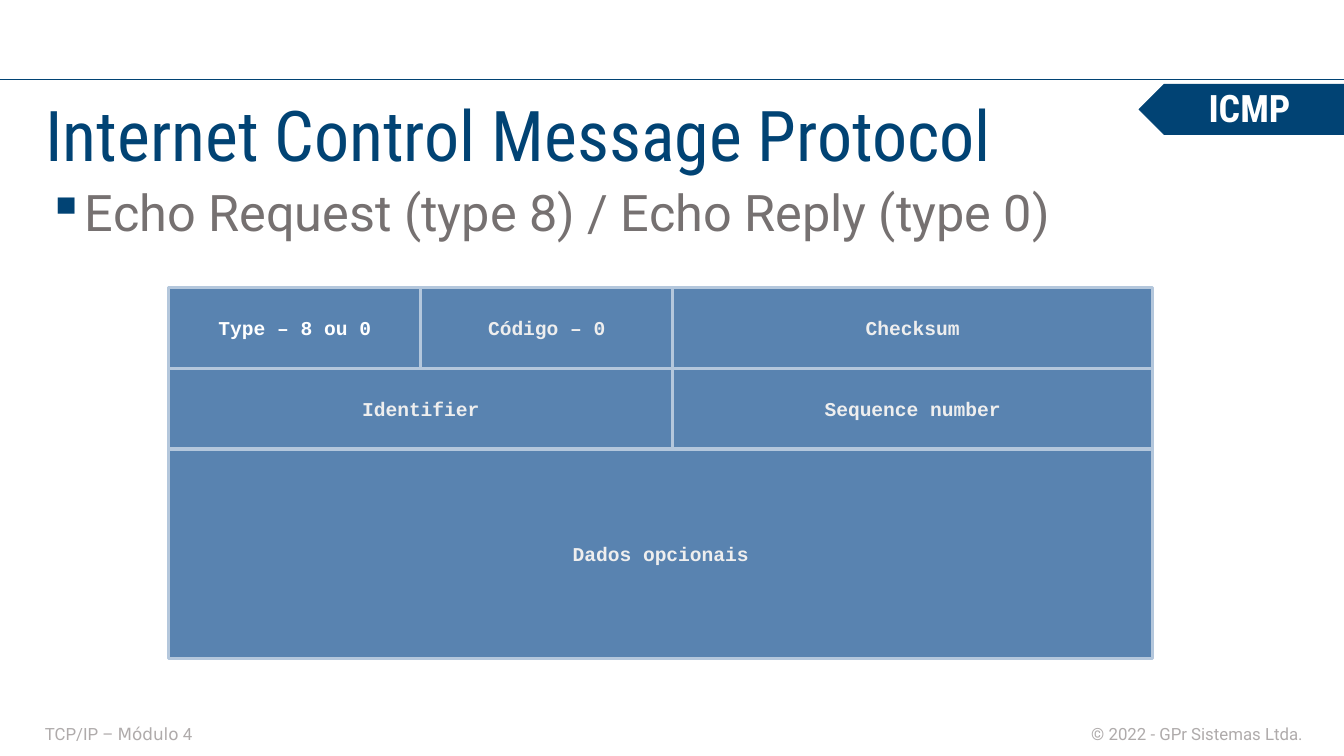
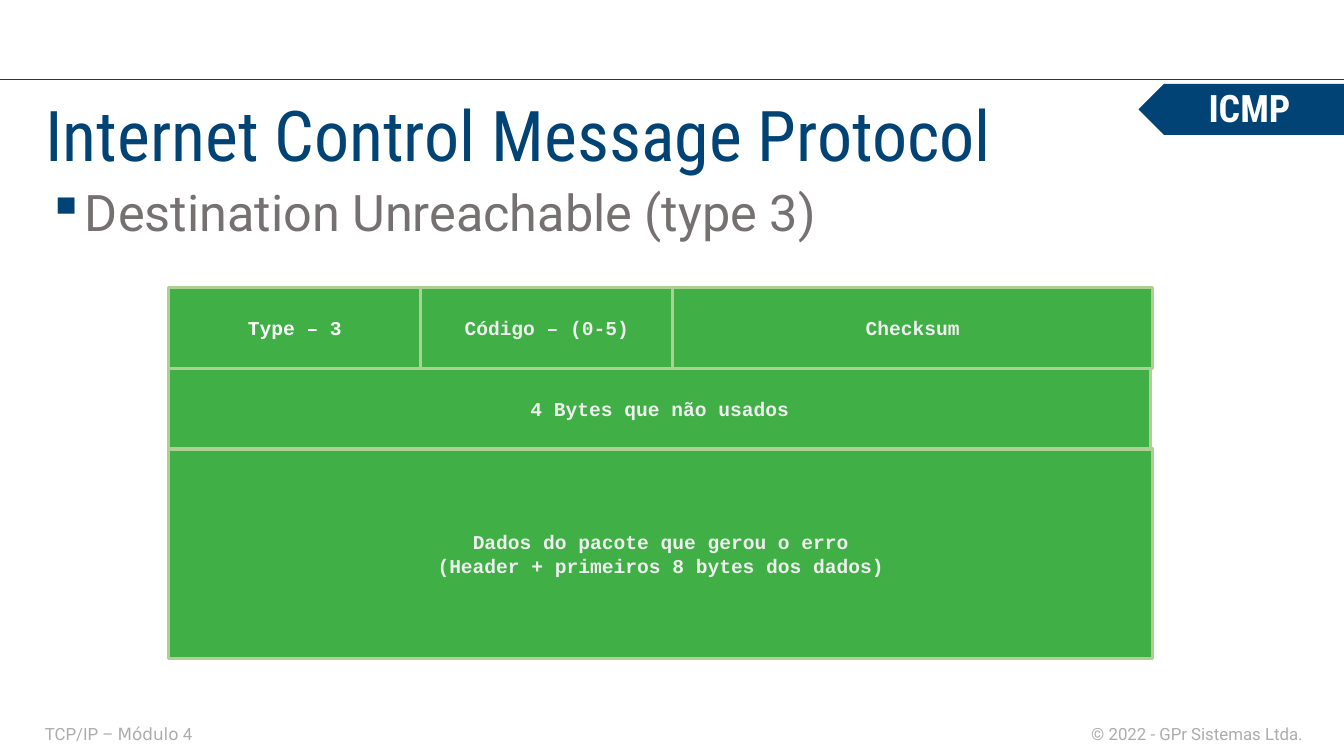
from typing import Any, NamedTuple, Optional, Sequence

import pptx
import pptx.dml.color
import pptx.enum.shapes
import pptx.enum.text
import pptx.oxml
import pptx.oxml.ns
import pptx.util
from pptx.util import Inches

ALIGN = pptx.enum.text.PP_ALIGN
ANCHOR = pptx.enum.text.MSO_ANCHOR
SHAPE = pptx.enum.shapes.MSO_SHAPE

COLORS = {
    "navy": "014374",
    "body": "767171",
    "footer": "AFABAB",
    "white": "FFFFFF",
    "label": "EEEEEE",
    "blue": "5983B0",
    "blue_edge": "B4C7DC",
    "green": "3FAF46",
    "green_edge": "AFD095",
}

# Packet grid, in inches
GRID_LEFT, GRID_TOP = 3.35, 5.71
BYTE_WIDTH, ROW_HEIGHT = 5, 1.6
FULL_WIDTH, DATA_HEIGHT = 19.52, 4.15
HALF_LEFT = 2 * BYTE_WIDTH
HALF_WIDTH = FULL_WIDTH - HALF_LEFT


class Run(NamedTuple):
    text: str
    font: Optional[str] = None


class Field(NamedTuple):
    """A packet field: offset within its row, row number and size."""
    text: str
    left: float
    row: int
    width: float
    height: float = ROW_HEIGHT
    color: str = "label"


class Packet(NamedTuple):
    heading: str
    fill: str
    edge: str
    fields: Sequence[Field]


def header_fields(type_text: str, code_text: str) -> list[Field]:
    return [
        Field(type_text, 0, 0, BYTE_WIDTH, color="white"),
        Field("Checksum", HALF_LEFT, 0, HALF_WIDTH),
        Field(code_text, BYTE_WIDTH, 0, BYTE_WIDTH),
    ]


def data_field(text: str) -> Field:
    return Field(text, 0, 2, FULL_WIDTH, DATA_HEIGHT)


PACKETS = [
    Packet("Echo Request (type 8) / Echo Reply (type 0)", "blue", "blue_edge", [
        *header_fields("Type – 8 ou 0", "Código – 0"),
        data_field("Dados opcionais"),
        Field("Identifier", 0, 1, HALF_LEFT),
        Field("Sequence number", HALF_LEFT, 1, HALF_WIDTH),
    ]),
    Packet("Destination Unreachable (type 3)", "green", "green_edge", [
        *header_fields("Type – 3", "Código – (0-5)"),
        data_field("Dados do pacote que gerou o erro\n"
                   "(Header + primeiros 8 bytes dos dados)"),
        Field("4 Bytes que não usados", 0, 1, 19.48),
    ]),
]


def rgb(name: str) -> pptx.dml.color.RGBColor:
    return pptx.dml.color.RGBColor.from_string(COLORS[name])


def add_bullet(paragraph: Any, color: str, character: str = "▪") -> None:
    properties = paragraph._p.get_or_add_pPr()
    properties.set("marL", str(Inches(0.74)))
    properties.set("indent", str(Inches(-0.94)))
    namespace = pptx.oxml.ns.nsdecls("a")
    for element in (
        f'<a:buClr {namespace}><a:srgbClr val="{COLORS[color]}"/></a:buClr>',
        f'<a:buChar {namespace} char="{character}"/>',
    ):
        properties.append(pptx.oxml.parse_xml(element))


def write_text(shape: Any, text: str | Sequence[Run], *, font: str, size: float,
               color: str, bold: bool = False, align: Any = ALIGN.LEFT,
               anchor: Any = ANCHOR.MIDDLE, inset: tuple[float, float] = (0.06, 0.06),
               line_spacing: Optional[float] = None,
               bullet_color: Optional[str] = None) -> None:
    frame = shape.text_frame
    frame.word_wrap = True
    frame.auto_size = pptx.enum.text.MSO_AUTO_SIZE.NONE
    frame.vertical_anchor = anchor
    frame.margin_left = frame.margin_right = Inches(inset[0])
    frame.margin_top = frame.margin_bottom = Inches(inset[1])
    lines = [[Run(line)] for line in text.split("\n")] if isinstance(text, str) else [text]
    for index, line in enumerate(lines):
        paragraph = frame.add_paragraph() if index else frame.paragraphs[0]
        paragraph.alignment = align
        if line_spacing:
            paragraph.line_spacing = line_spacing
        if bullet_color:
            add_bullet(paragraph, bullet_color)
        for part in line:
            run = paragraph.add_run()
            run.text = part.text
            run.font.name = part.font or font
            run.font.size = pptx.util.Pt(size)
            run.font.bold = bold
            run.font.color.rgb = rgb(color)


def add_text(slide: Any, text: str | Sequence[Run], left: float, top: float,
             width: float, height: float, **text_format: Any) -> None:
    box = slide.shapes.add_textbox(Inches(left), Inches(top), Inches(width), Inches(height))
    write_text(box, text, **text_format)


def add_block(slide: Any, kind: Any, left: float, top: float, width: float,
              height: float, fill: str, edge: str, edge_width: float) -> Any:
    shape = slide.shapes.add_shape(
        kind, Inches(left), Inches(top), Inches(width), Inches(height))
    shape.shadow.inherit = False
    shape.fill.solid()
    shape.fill.fore_color.rgb = rgb(fill)
    shape.line.color.rgb = rgb(edge)
    shape.line.width = pptx.util.Pt(edge_width)
    return shape


def draw_frame(slide: Any) -> None:
    """Draw what every slide shares: rule, footers, title and topic tag."""
    # Top rule
    rule = slide.shapes.add_connector(
        pptx.enum.shapes.MSO_CONNECTOR.STRAIGHT,
        Inches(0), Inches(1.58), Inches(26.67), Inches(1.58))
    rule.line.color.rgb = rgb("navy")
    rule.line.width = pptx.util.Pt(2)
    rule._element.spPr.append(
        pptx.oxml.parse_xml(f'<a:effectLst {pptx.oxml.ns.nsdecls("a")}/>'))

    # Footers
    footer = {"font": "Roboto", "size": 24, "color": "footer"}
    add_text(slide, "© 2022 - GPr Sistemas Ltda.", 20.58, 14.29, 5.33, 0.52,
             align=ALIGN.RIGHT, **footer)
    add_text(slide, [Run("TCP/IP – "), Run("Módulo", "DejaVu Sans"), Run(" 4")],
             0.83, 14.29, 19.08, 0.52, **footer)

    # Title
    title = slide.shapes.title
    title.left, title.top = Inches(0.84), Inches(1.75)
    title.width, title.height = Inches(25.01), Inches(1.8)
    write_text(title, "Internet Control Message Protocol", font="Roboto Condensed",
               size=100, color="navy", anchor=ANCHOR.TOP)

    # Topic tag
    tag = add_block(slide, SHAPE.PENTAGON, 22.6, 1.67, 4.15, 1, "navy", "navy", 1)
    tag.rotation = 180
    add_text(slide, "ICMP", 23.28, 1.63, 3.03, 1.02, font="Roboto Condensed",
             size=54, color="white", bold=True, align=ALIGN.CENTER)


def draw_packet(slide: Any, packet: Packet) -> None:
    add_text(slide, packet.heading, 0.84, 3.3, 25.01, 11, font="Roboto", size=72,
             color="body", anchor=ANCHOR.TOP, inset=(0.1, 0.05),
             line_spacing=1.2, bullet_color="navy")
    for field in packet.fields:
        block = add_block(
            slide, SHAPE.RECTANGLE, GRID_LEFT + field.left,
            GRID_TOP + field.row * ROW_HEIGHT, field.width, field.height,
            packet.fill, packet.edge, 4.5)
        write_text(block, field.text, font="Courier New", size=28, color=field.color,
                   bold=True, align=ALIGN.CENTER, inset=(0.12, 0.07))


def main() -> None:
    presentation = pptx.Presentation()
    presentation.slide_width = Inches(26.67)
    presentation.slide_height = Inches(15)
    title_only = presentation.slide_layouts[5]
    for packet in PACKETS:
        slide = presentation.slides.add_slide(title_only)
        draw_frame(slide)
        draw_packet(slide, packet)
    presentation.save("out.pptx")


if __name__ == "__main__":
    main()
